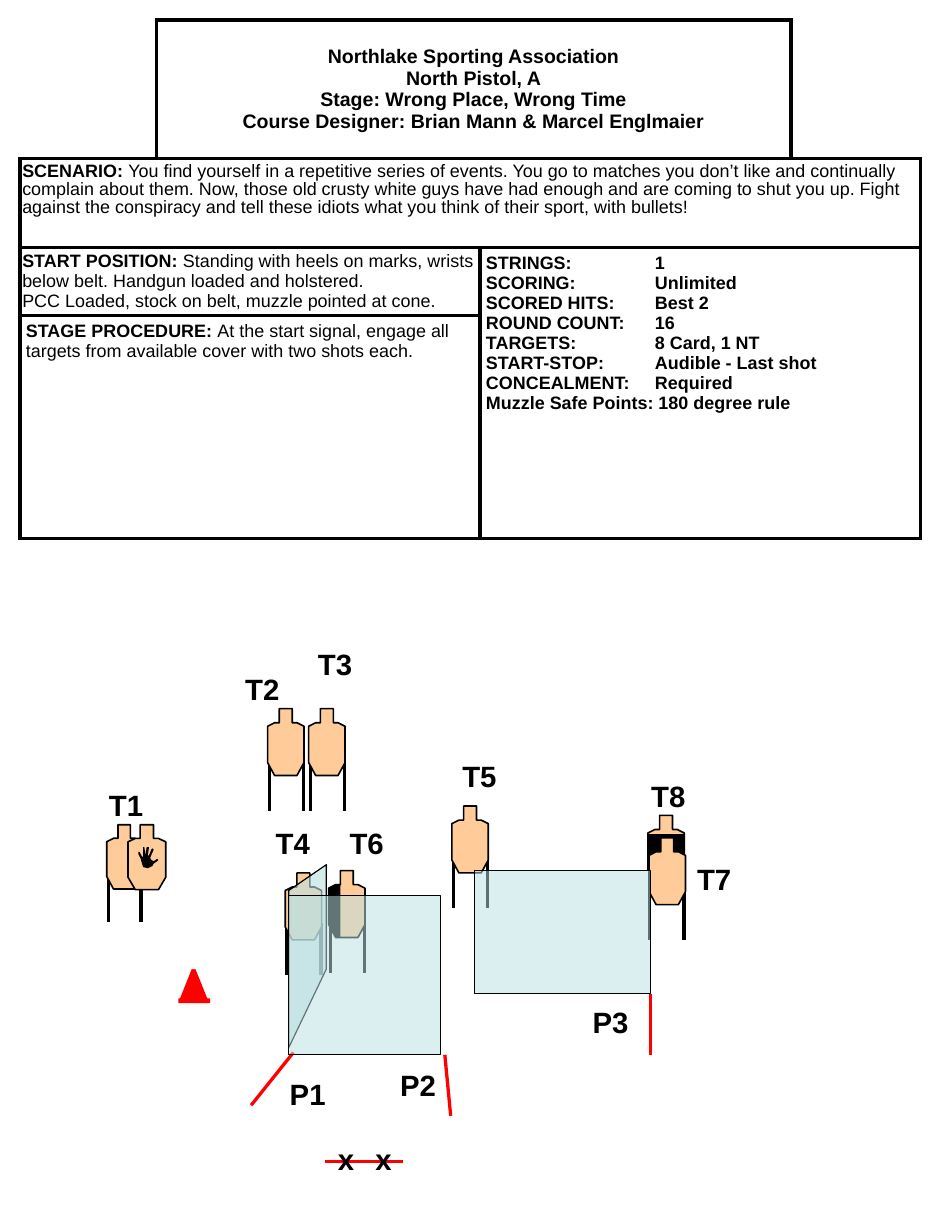
from dataclasses import dataclass
from lxml.etree import SubElement
from pptx import Presentation
from pptx.dml.color import RGBColor as Rgb
from pptx.enum.shapes import MSO_CONNECTOR as Link, MSO_SHAPE as Kind
from pptx.enum.text import MSO_ANCHOR as Anchor, MSO_AUTO_SIZE as Fit, PP_ALIGN as Align
from pptx.oxml import parse_xml
from pptx.oxml.ns import nsdecls, qn
from pptx.util import Cm, Pt

INK, RED, SKIN, GLASS, WHITE = "000000", "FF0000", "FFCC99", "BBE0E3", "FFFFFF"
BODY = ((.1, 0), (.21, 0), (.21, .12), (.25, .12), (.31, .15), (.31, .46),
        (.25, .57), (.06, .57), (0, .46), (0, .15), (.06, .12), (.1, .12))
LOWER = ((0, .16), (.31, .16), (.31, .46), (.25, .57), (.06, .57), (0, .46))
SIDE = ((.1, .12), (.1, .57), (.06, .57), (0, .46), (0, .15), (.06, .12))
HAND = ((1.3, 7.38), (1.26, 7.4), (1.22, 7.39), (1.21, 7.36), (1.2, 7.32),
        (1.18, 7.28), (1.18, 7.26), (1.19, 7.26), (1.21, 7.3), (1.22, 7.3),
        (1.22, 7.22), (1.23, 7.22), (1.24, 7.29), (1.25, 7.22), (1.27, 7.22),
        (1.26, 7.29), (1.27, 7.29), (1.29, 7.24), (1.3, 7.23), (1.31, 7.24),
        (1.28, 7.31), (1.29, 7.33), (1.31, 7.34), (1.34, 7.32), (1.35, 7.33),
        (1.34, 7.34), (1.31, 7.36))


@dataclass
class Label:
    text: str
    x: float
    y: float


@dataclass
class Target:
    x: float
    y: float
    foot: float = .87
    scale: float = 1
    mask: tuple = ()


@dataclass
class Block:
    row: int
    col: int
    last: tuple
    paras: list
    inset: tuple = (.05, .05)
    lead: float = 1


def inch(value: float) -> Cm:
    return Cm(value * 2.54)


def tint(fmt, color: str) -> None:
    fmt.rgb = Rgb.from_string(color)


def paint(shape, fill: str, width: float = 0, alpha: int = 100) -> None:
    shape.shadow.inherit = False
    shape.fill.solid()
    tint(shape.fill.fore_color, fill)
    if alpha < 100:
        node = shape.fill._xPr.find(qn("a:solidFill"))[0]
        SubElement(node, qn("a:alpha"), val=str(alpha * 1000))
    if width:
        tint(shape.line.color, INK)
        shape.line.width = Pt(width)
    else:
        shape.line.fill.background()


def box(shapes, kind, x, y, w, h, fill: str, width: float = 0, alpha: int = 100):
    shape = shapes.add_shape(kind, inch(x), inch(y), inch(w), inch(h))
    paint(shape, fill, width, alpha)
    return shape


def poly(shapes, points, fill: str, width: float = 0, alpha: int = 100):
    spots = [(inch(x), inch(y)) for x, y in points]
    pen = shapes.build_freeform(*spots[0])
    pen.add_line_segments(spots[1:], close=True)
    shape = pen.convert_to_shape()
    paint(shape, fill, width, alpha)
    return shape


def line(shapes, x1, y1, x2, y2, color: str, width: float):
    rod = shapes.add_connector(Link.STRAIGHT, inch(x1), inch(y1), inch(x2), inch(y2))
    tint(rod.line.color, color)
    rod.line.width = Pt(width)
    SubElement(rod._element.spPr, qn("a:effectLst"))
    return rod


def stand(shapes, unit: Target) -> None:
    def place(points):
        return [(unit.x + x * unit.scale, unit.y + y * unit.scale) for x, y in points]

    parts = []
    if unit.foot:
        for x, _ in place([(.015, 0), (.305, 0)]):
            parts.append(line(shapes, x, unit.y + .43 * unit.scale,
                              x, unit.y + unit.foot, INK, 2.25))
    parts.append(poly(shapes, place(BODY), SKIN, 1))
    if unit.mask:
        parts.append(poly(shapes, place(unit.mask), INK))
    shapes.add_group_shape(parts)


def style(para, size: float) -> None:
    para.font.size = Pt(size)
    para.font.name = "Arial"
    tint(para.font.color, INK)


def label(shapes, item: Label) -> None:
    frame = shapes.add_textbox(inch(item.x), inch(item.y), inch(.58), inch(.4)).text_frame
    frame.word_wrap = True
    frame.auto_size = Fit.SHAPE_TO_FIT_TEXT
    para = frame.paragraphs[0]
    para.text = item.text
    style(para, 18)
    para.font.bold = True


def edge(cell, bare: str) -> None:
    cell.fill.solid()
    tint(cell.fill.fore_color, WHITE)
    prop = cell._tc.get_or_add_tcPr()
    for spot, side in enumerate("LRTB"):
        fill = ("<a:noFill/>" if side in bare else
                f'<a:solidFill><a:srgbClr val="{INK}"/></a:solidFill>')
        prop.insert(spot, parse_xml(
            f'<a:ln{side} {nsdecls("a")} w="{Pt(2.25)}">{fill}</a:ln{side}>'))


def write(table, block: Block) -> None:
    cell = table.cell(block.row, block.col)
    cell.merge(table.cell(*block.last))
    cell.margin_left = cell.margin_right = inch(block.inset[0])
    cell.margin_top = cell.margin_bottom = inch(block.inset[1])
    frame = cell.text_frame
    for spot, (head, text) in enumerate(block.paras):
        para = frame.add_paragraph() if spot else frame.paragraphs[0]
        if "\t" in head:
            tabs = SubElement(para._p.get_or_add_pPr(), qn("a:tabLst"))
            SubElement(tabs, qn("a:tab"), pos=str(inch(1.44)), algn="l")
        if block.lead != 1:
            para.line_spacing = block.lead
        if head and text:
            for words, bold in ((head, True), (text, False)):
                run = para.add_run()
                run.text = words
                run.font.bold = bold
        else:
            para.text = head or text
            para.font.bold = bool(head)
        style(para, 11)


TITLE = ("Northlake Sporting Association\vNorth Pistol, A\v"
         "Stage: Wrong Place, Wrong Time\vCourse Designer: Brian Mann & Marcel Englmaier")
BLOCKS = [
    Block(0, 1, (0, 2), [(TITLE, "")]),
    Block(1, 0, (1, 3), [("SCENARIO: ", "You find yourself in a repetitive series of events. You go to matches you don’t like and continually complain about them. Now, those old crusty white guys have had enough and are coming to shut you up. Fight against the conspiracy and tell these idiots what you think of their sport, with bullets!")], (.02, .04), .9),
    Block(2, 0, (2, 1), [
        ("START POSITION: ", "Standing with heels on marks, wrists below belt. Handgun loaded and holstered."),
        ("", "PCC Loaded, stock on belt, muzzle pointed at cone.")], (.02, .03)),
    Block(2, 2, (3, 3), [(text, "") for text in (
        "STRINGS:\t1", "SCORING:\tUnlimited", "SCORED HITS:\tBest 2", "ROUND COUNT:\t16",
        "TARGETS:\t8 Card, 1 NT", "START-STOP:\tAudible - Last shot",
        "CONCEALMENT:\tRequired", "Muzzle Safe Points: 180 degree rule")]),
    Block(3, 0, (3, 1), [("STAGE PROCEDURE: ", "At the start signal, engage all targets from available cover with two shots each.")]),
]
LABELS = [Label(*row) for row in (
    ("P1", 2.37, 9.12), ("P2", 3.31, 9.05), ("P3", 4.95, 8.51), ("T1", .83, 6.66),
    ("T2", 1.99, 5.67), ("T3", 2.61, 5.46), ("T4", 2.25, 6.98), ("T5", 3.84, 6.41),
    ("T6", 2.88, 6.98), ("T7", 5.84, 7.29), ("T8", 5.45, 6.58),
    ("x", 2.78, 9.68), ("x", 3.1, 9.68))]
BACK = [Target(5.52, 6.95, 1.06, mask=LOWER), Target(5.53, 7.14, 0), Target(2.43, 7.44),
        Target(2.8, 7.42, mask=SIDE), Target(3.85, 6.87)]
FRONT = [Target(2.63, 6.04), Target(2.28, 6.04), Target(.91, 7.03, .83, .96)]
RODS = [(5.54, 8.99, 5.54, 8.47), (2.5, 8.97, 2.14, 9.42),
        (3.84, 9.51, 3.79, 8.99), (3.43, 9.9, 2.77, 9.9)]


def grid(shapes) -> None:
    wide, tall = (1.16, 2.76, 2.65, 1.1), (1.18, .76, .58, 1.9)
    table = shapes.add_table(4, 4, inch(.17), inch(.17), inch(sum(wide)), inch(sum(tall))).table
    table.first_row = table.horz_banding = False
    for col, size in zip(table.columns, wide):
        col.width = inch(size)
    for row, size in zip(table.rows, tall):
        row.height = inch(size)
    bare = {(0, 0): "LT", (0, 3): "RT"}
    for row in range(4):
        for col in range(4):
            edge(table.cell(row, col), bare.get((row, col), ""))
    for block in BLOCKS:
        write(table, block)
    title = table.cell(0, 1)
    title.vertical_anchor = Anchor.MIDDLE
    para = title.text_frame.paragraphs[0]
    para.alignment = Align.CENTER
    para.font.size = Pt(12)


def main() -> None:
    deck = Presentation()
    deck.slide_width, deck.slide_height = inch(8), inch(10.5)
    shapes = deck.slides.add_slide(deck.slide_layouts[6]).shapes
    grid(shapes)
    shapes.add_group_shape([
        box(shapes, Kind.ISOSCELES_TRIANGLE, 1.53, 8.22, .24, .3, RED),
        box(shapes, Kind.RECTANGLE, 1.59, 8.22, .12, .04, WHITE),
        box(shapes, Kind.RECTANGLE, 1.52, 8.51, .27, .04, RED)])
    for unit in BACK:
        stand(shapes, unit)
    for rod in RODS:
        line(shapes, *rod, RED, 2)
    wing = ((2.78, 8.26), (2.46, 8.93), (2.46, 7.59), (2.78, 7.37))
    shapes.add_group_shape([
        poly(shapes, wing, GLASS, .75, 61),
        box(shapes, Kind.RECTANGLE, 2.46, 7.63, 1.29, 1.36, GLASS, .75, 52)])
    box(shapes, Kind.RECTANGLE, 4.04, 7.42, 1.5, 1.05, GLASS, .75, 50)
    for unit in FRONT:
        stand(shapes, unit)
    guard = [(1.09 + x * 1.04, 7.03 + y * .97) for x, y in BODY]
    shapes.add_group_shape([
        poly(shapes, guard, "FDCC99", 1), poly(shapes, HAND, INK)])
    for item in LABELS:
        label(shapes, item)
    deck.save("out.pptx")


if __name__ == "__main__":
    main()
